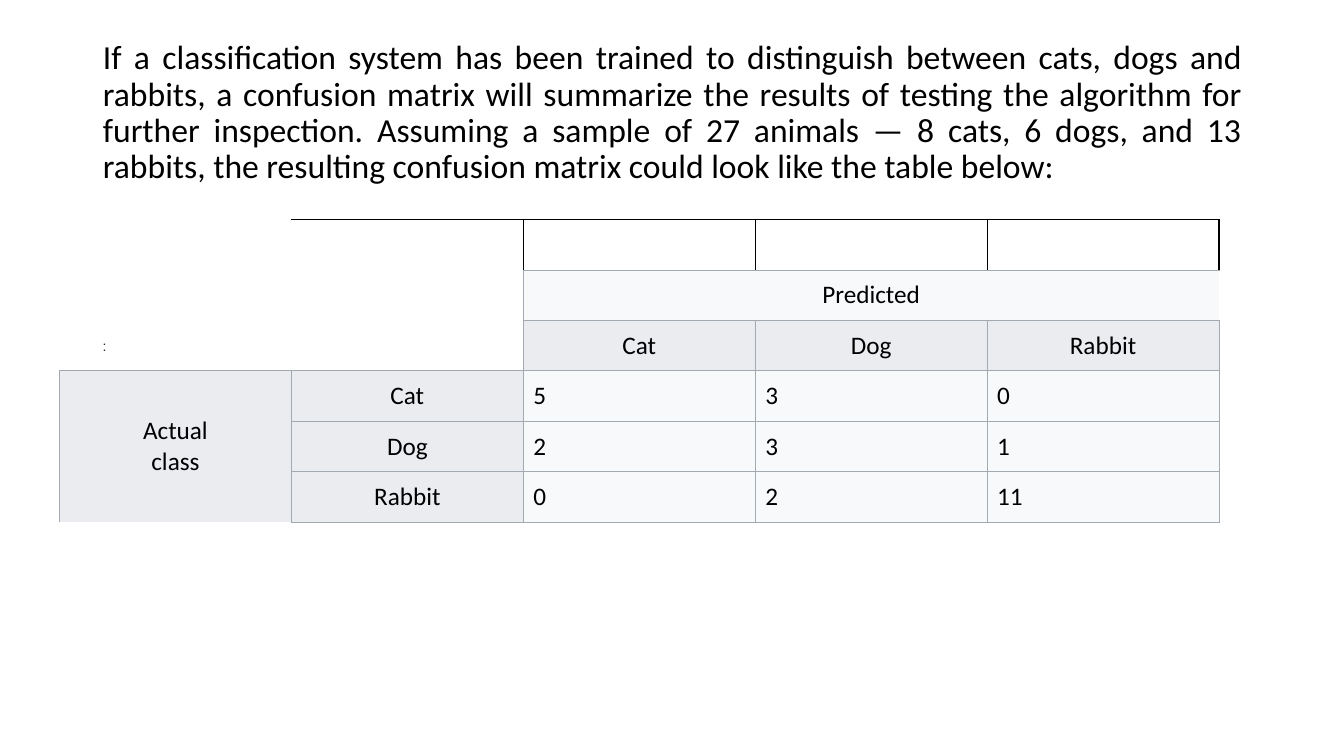
from lxml import etree
from pptx import Presentation
from pptx.dml.color import RGBColor
from pptx.enum import text as t
from pptx.oxml import ns
from pptx.util import Inches, Pt

INTRO = ("If a classification system has been trained to distinguish between cats, "
         "dogs and rabbits, a confusion matrix will summarize the results of testing "
         "the algorithm for further inspection. Assuming a sample of 27 animals — "
         "8 cats, 6 dogs, and 13 rabbits, the resulting confusion matrix could look "
         "like the table below:")
ANIMALS = ["Cat", "Dog", "Rabbit"]
COUNTS = [[5, 3, 0], [2, 3, 1], [0, 2, 11]]  # rows actual, columns predicted
WHITE, HEAD, BODY = "FFFFFF", "EAECF0", "F8F9FA"
GRAY, BLACK = ("A2A9B1", 0.75), ("000000", 1)
PLAIN_STYLE = "{2D5ABB26-0587-4C30-8999-92F81FD0307C}"
COLUMN, ROW = 2.3, 0.5

# Blocks: row, column, rows, columns, text, fill, {side: line}
ALL_GRAY = dict.fromkeys("LRTB", GRAY)
blocks = [
    (0, 0, 1, 1, "", WHITE, {}),
    (0, 1, 1, 1, "", None, {"T": BLACK, "R": BLACK}),
    (1, 0, 2, 2, "", WHITE, {"R": GRAY, "B": GRAY}),
    (1, 2, 1, 3, "Predicted", BODY, ALL_GRAY),
    (3, 0, 3, 1, "Actual\vclass", HEAD, ALL_GRAY),
]
for i, animal in enumerate(ANIMALS):
    blocks += [
        (0, 2 + i, 1, 1, "", None, dict.fromkeys("LRT", BLACK) | {"B": GRAY}),
        (2, 2 + i, 1, 1, animal, HEAD, ALL_GRAY),
        (3 + i, 1, 1, 1, animal, HEAD, ALL_GRAY),
    ]
    blocks += [(3 + i, 2 + j, 1, 1, str(count), BODY, ALL_GRAY)
               for j, count in enumerate(COUNTS[i])]


def rgb(color):
    return RGBColor.from_string(color)


def style(frame, size, font, color, align):
    paragraph = frame.paragraphs[0]
    paragraph.alignment = align
    for run in paragraph.runs:
        run.font.size, run.font.name = Pt(size), font
        run.font.color.rgb = rgb(color)


def place(shape, left, top, width, height):
    shape.left, shape.top = Inches(left), Inches(top)
    shape.width, shape.height = Inches(width), Inches(height)


def set_borders(cell, lines):
    properties = cell._tc.get_or_add_tcPr()
    for side in "LRTB":
        line = etree.SubElement(properties, ns.qn("a:ln" + side))
        if side in lines:
            color, width = lines[side]
            line.set("w", str(Pt(width)))
            fill = etree.SubElement(line, ns.qn("a:solidFill"))
            etree.SubElement(fill, ns.qn("a:srgbClr"), val=color)
        else:
            etree.SubElement(line, ns.qn("a:noFill"))


prs = Presentation()
prs.slide_width, prs.slide_height = Inches(13.33), Inches(7.5)
slide = prs.slides.add_slide(prs.slide_layouts[5])

# Introduction in the title
title = slide.shapes.title
place(title, 0.92, 0.4, 11.5, 1.45)
title.text_frame.text = INTRO
title.text_frame.auto_size = t.MSO_AUTO_SIZE.NONE
title.text_frame.vertical_anchor = t.MSO_ANCHOR.MIDDLE
title.text_frame.paragraphs[0].line_spacing = 0.9
style(title.text_frame, 24, "Calibri", "000000", t.PP_ALIGN.JUSTIFY)

# Confusion matrix
matrix_frame = slide.shapes.add_table(6, 5, Inches(0.59), Inches(2.18),
                                      Inches(5 * COLUMN), Inches(6 * ROW))
matrix = matrix_frame.table
matrix.first_row = matrix.horz_banding = False
matrix._tbl.tblPr.find(ns.qn("a:tableStyleId")).text = PLAIN_STYLE
for column in matrix.columns:
    column.width = Inches(COLUMN)
for row in matrix.rows:
    row.height = Inches(ROW)

for top, left, rows, cols, label, color, lines in blocks:
    bottom, right = top + rows - 1, left + cols - 1
    origin = matrix.cell(top, left)
    if rows * cols > 1:
        origin.merge(matrix.cell(bottom, right))
    for r in range(top, bottom + 1):
        for c in range(left, right + 1):
            outer = {"L": c == left, "R": c == right, "T": r == top, "B": r == bottom}
            cell = matrix.cell(r, c)
            set_borders(cell, {s: line for s, line in lines.items() if outer[s]})
            if color:
                cell.fill.solid()
                cell.fill.fore_color.rgb = rgb(color)
            else:
                cell.fill.background()
    origin.text_frame.text = label
    origin.vertical_anchor = t.MSO_ANCHOR.MIDDLE
    align = t.PP_ALIGN.LEFT if label.isdigit() else t.PP_ALIGN.CENTER
    style(origin.text_frame, 18, "Calibri", "000000", align)

# Stray colon beside the matrix
colon = slide.shapes.add_textbox(Inches(0.92), Inches(3.18), Inches(13.33), Inches(0.5))
colon.text_frame.text = ":"
colon.text_frame.word_wrap = False
colon.text_frame.auto_size = t.MSO_AUTO_SIZE.SHAPE_TO_FIT_TEXT
colon.text_frame.vertical_anchor = t.MSO_ANCHOR.MIDDLE
style(colon.text_frame, 10, "Arial", "252525", t.PP_ALIGN.LEFT)

prs.save("out.pptx")
